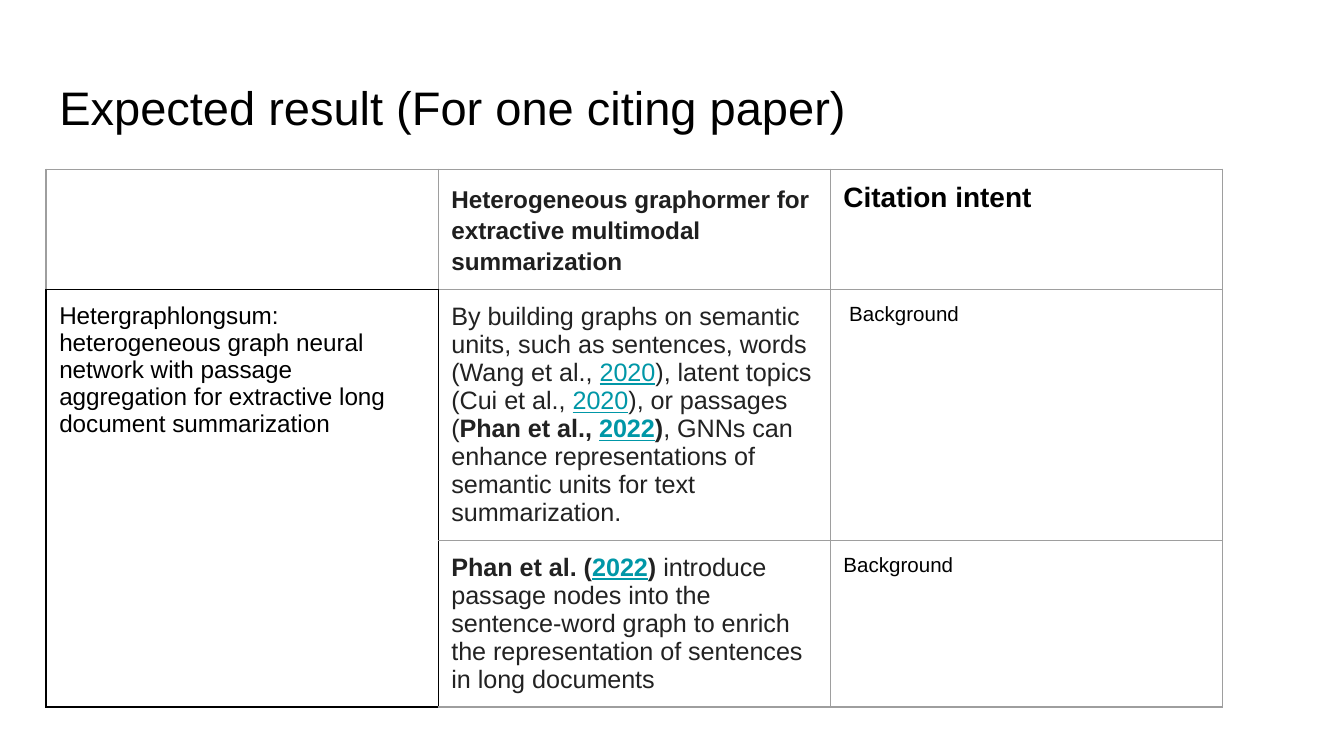
from lxml import etree
from pptx import Presentation
from pptx import util as u
from pptx.dml.color import RGBColor
from pptx.enum import text
from pptx.oxml import ns

BLACK = RGBColor(0x00, 0x00, 0x00)
WHITE = RGBColor(0xFF, 0xFF, 0xFF)
GREY = RGBColor(0x9E, 0x9E, 0x9E)
HEADING = RGBColor(0x1F, 0x1F, 0x1F)
QUOTE = RGBColor(0x22, 0x22, 0x22)
LINK = RGBColor(0x00, 0x97, 0xA7)
FONT = "Arial"

TITLE = "Expected result (For one citing paper)"
CITED = ("Hetergraphlongsum: heterogeneous graph neural network with passage "
         "aggregation for extractive long document summarization")
CITING = "Heterogeneous graphormer for extractive multimodal summarization"

PLAIN, BOLD, YEAR, BOLD_YEAR = "plain", "bold", "year", "bold year"
FIRST_QUOTE = [
    ("By building graphs on semantic units, such as sentences, words (Wang et al., ", PLAIN),
    ("2020", YEAR),
    ("), latent topics (Cui et al., ", PLAIN),
    ("2020", YEAR),
    ("), or passages (", PLAIN),
    ("Phan et al., ", BOLD),
    ("2022", BOLD_YEAR),
    (")", BOLD),
    (", GNNs can enhance representations of semantic units for text summarization.", PLAIN),
]
SECOND_QUOTE = [
    ("Phan et al. (", BOLD),
    ("2022", BOLD_YEAR),
    (")", BOLD),
    (" introduce passage nodes into the sentence-word graph to enrich "
     "the representation of sentences in long documents", PLAIN),
]

CELLS = {
    (0, 1): ([(CITING, BOLD)], 13, HEADING),
    (0, 2): ([("Citation intent", BOLD)], 15, BLACK),
    (1, 0): ([(CITED, PLAIN)], 13, BLACK),
    (1, 1): (FIRST_QUOTE, 13.5, QUOTE),
    (1, 2): ([(" Background", PLAIN)], 11, BLACK),
    (2, 1): (SECOND_QUOTE, 13.5, QUOTE),
    (2, 2): ([("Background", PLAIN)], 11, BLACK),
}
BLACK_SIDES = {
    (0, 0): "B",
    (1, 0): "LRTB",
    (2, 0): "LRTB",
    (1, 1): "L",
    (2, 1): "L",
}

LEFT = u.Cm(0.87)
COLUMN_WIDTH = u.Cm(7.41)
ROW_HEIGHTS = [u.Cm(2.27), u.Cm(4.74), u.Cm(3.15)]
MARGIN = u.Cm(0.25)


def set_margins(target):
    target.margin_left = target.margin_right = MARGIN
    target.margin_top = target.margin_bottom = MARGIN


def add_spans(para, spans, size, color):
    for words, style in spans:
        span = para.add_run()
        span.text = words
        span.font.name = FONT
        span.font.size = u.Pt(size)
        span.font.bold = style in (BOLD, BOLD_YEAR)
        is_year = style in (YEAR, BOLD_YEAR)
        span.font.underline = is_year
        span.font.color.rgb = LINK if is_year else color


def set_borders(cell, black_sides):
    properties = cell._tc.get_or_add_tcPr()
    for side in "LRTB":
        line = etree.SubElement(properties, ns.qn(f"a:ln{side}"), w=str(u.Pt(0.75)))
        fill = etree.SubElement(line, ns.qn("a:solidFill"))
        color = BLACK if side in black_sides else GREY
        etree.SubElement(fill, ns.qn("a:srgbClr"), val=str(color))


deck = Presentation()
deck.slide_width, deck.slide_height = u.Cm(25.4), u.Cm(14.29)
page = deck.slides.add_slide(deck.slide_layouts[5])

title = page.shapes.title
title.left, title.top = LEFT, u.Cm(1.24)
title.width, title.height = u.Cm(23.67), u.Cm(1.6)
frame = title.text_frame
set_margins(frame)
frame.auto_size = text.MSO_AUTO_SIZE.NONE
frame.vertical_anchor = text.MSO_ANCHOR.TOP
frame.paragraphs[0].alignment = text.PP_ALIGN.LEFT
add_spans(frame.paragraphs[0], [(TITLE, PLAIN)], 25.2, BLACK)

table = page.shapes.add_table(3, 3, LEFT, u.Cm(3.2), 3 * COLUMN_WIDTH, sum(ROW_HEIGHTS)).table
table.first_row = table.horz_banding = False
for column in table.columns:
    column.width = COLUMN_WIDTH
for row, height in zip(table.rows, ROW_HEIGHTS):
    row.height = height
table.cell(1, 0).merge(table.cell(2, 0))

for row in range(3):
    for column in range(3):
        cell = table.cell(row, column)
        set_margins(cell)
        set_borders(cell, BLACK_SIDES.get((row, column), ""))
        cell.fill.solid()
        cell.fill.fore_color.rgb = WHITE
        if (row, column) in CELLS:
            add_spans(cell.text_frame.paragraphs[0], *CELLS[row, column])

heading = table.cell(0, 1).text_frame.paragraphs[0]
heading.line_spacing = 1.15
heading.space_before = heading.space_after = u.Pt(12)

deck.save("out.pptx")
